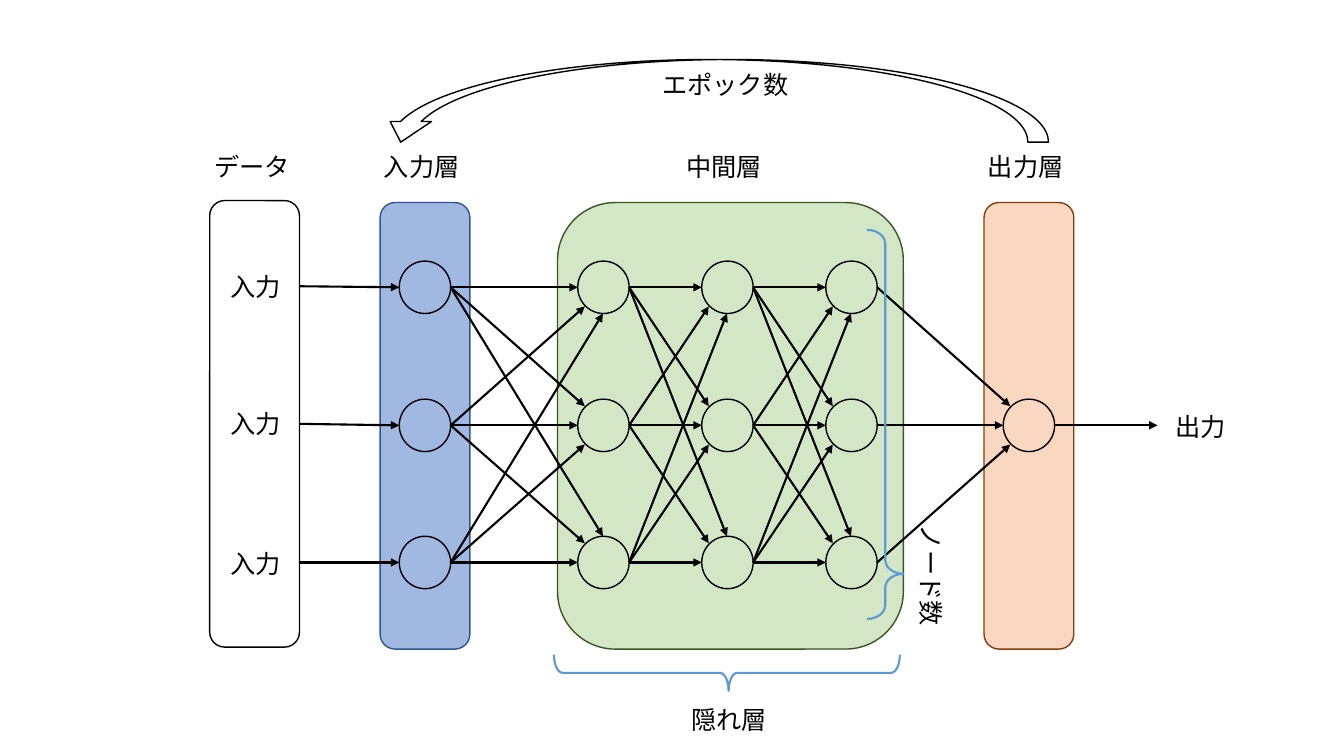
from lxml import etree
from pptx import Presentation
from pptx import util as u
from pptx.dml.color import RGBColor
from pptx.enum import shapes, text
from pptx.oxml.ns import qn

PX = 9144  # 100 px to the inch
FONT = "Noto Sans CJK JP"
KIND = shapes.MSO_SHAPE
HEX = {"ink": "000000", "brace": "5B9BD5",
       "data": "FFFFFF", "data edge": "000000",
       "input": "4472C4", "input edge": "325491",
       "hidden": "A9D18E", "hidden edge": "385723",
       "output": "F4B183", "output edge": "843C0B"}

deck = Presentation()
deck.slide_width, deck.slide_height = 1333 * PX, 750 * PX
slide = deck.slides.add_slide(deck.slide_layouts[6])


def draw(kind, box, edge="ink", width=1):
    """Add an unfilled preset shape with a coloured outline."""
    shape = slide.shapes.add_shape(kind, *(n * PX for n in box))
    shape.shadow.inherit = False
    shape.fill.background()
    shape.line.color.rgb = RGBColor.from_string(HEX[edge])
    shape.line.width = u.Pt(width)
    return shape


def arrow(start, end):
    line = slide.shapes.add_connector(
        shapes.MSO_CONNECTOR.STRAIGHT, *(n * PX for n in (*start, *end)))
    line.line.color.rgb = RGBColor.from_string(HEX["ink"])
    line.line.width = u.Pt(1.5)
    etree.SubElement(line.line._get_or_add_ln(), qn("a:tailEnd"), type="triangle")
    etree.SubElement(line._element.spPr, qn("a:effectLst"))
    return line


# Layer panels, half transparent
panels = {}
for name, x, y, w in (("data", 208, 199, 89), ("output", 976, 201, 89),
                      ("hidden", 553, 201, 343), ("input", 377, 201, 89)):
    panel = draw(KIND.ROUNDED_RECTANGLE, (x, y, w, 443), name + " edge")
    panel.fill.solid()
    panel.fill.fore_color.rgb = RGBColor.from_string(HEX[name])
    tint = panel._element.spPr.find(qn("a:solidFill"))[0]
    etree.SubElement(tint, qn("a:alpha"), val="50000")
    panels[name] = panel

# Nodes: one list of rows for each column
W, H, CUT = 51, 52, 7
MID = H // 2
tops = (259, 396, 532)
layers = [(x, (0, 1, 2)) for x in (396, 573, 696, 819)] + [(995, (1,))]
for x, rows in layers:
    for row in rows:
        draw(KIND.OVAL, (x, tops[row], W, H))

# Links end at the side, the corner or the pole that faces their start
for (left, froms), (right, tos) in zip(layers, layers[1:]):
    for src in froms:
        for dst in tos:
            gap = abs(src - dst)
            dx = (0, CUT, W // 2)[gap]
            dy = (MID, CUT, 0)[gap]
            if src > dst:
                dy = H - dy
            arrow((left + W, tops[src] + MID), (right + dx, tops[dst] + dy))

arrow((1046, tops[1] + MID), (1148, tops[1] + MID))
for top, y in zip(tops, (284, 421, 558)):
    feed = arrow((297, y), (396, top + MID))
    if top == tops[1]:
        feed.begin_connect(panels["data"], 3)

# Braces and the epoch arrow
for box, turn, bends in (((703, 496, 36, 343), 270, (0.237, 0.505)),
                         ((860, 228, 36, 386), 180, (0.379, 0.116))):
    brace = draw(KIND.LEFT_BRACE, box, "brace", 1.5)
    brace.rotation = turn
    for i, bend in enumerate(bends):
        brace.adjustments[i] = bend
epoch = draw(KIND.CURVED_DOWN_ARROW, (377, 59, 663, 82))
epoch._element.spPr.xfrm.set("flipH", "1")

# Labels
for words, x, y, w, turn in (
        ("データ", 203, 145, 100, 0), ("入力層", 371, 145, 100, 0),
        ("中間層", 671, 145, 100, 0), ("出力層", 970, 145, 100, 0),
        ("入力", 219, 264, 76, 0), ("入力", 219, 400, 76, 0),
        ("入力", 219, 539, 76, 0), ("出力", 1156, 403, 76, 0),
        ("隠れ層", 676, 694, 97, 0), ("ノード数", 863, 552, 122, 90),
        ("エポック数", 647, 64, 148, 0)):
    label = slide.shapes.add_textbox(x * PX, y * PX, w * PX, 40 * PX)
    label.rotation = turn
    frame = label.text_frame
    frame.word_wrap = False
    frame.auto_size = text.MSO_AUTO_SIZE.SHAPE_TO_FIT_TEXT
    run = frame.paragraphs[0].add_run()
    run.text = words
    for key, value in {"name": FONT, "size": u.Pt(18)}.items():
        setattr(run.font, key, value)
    run.font.color.rgb = RGBColor.from_string(HEX["ink"])
    etree.SubElement(run._r.get_or_add_rPr(), qn("a:ea"), typeface=FONT)

deck.save("out.pptx")
